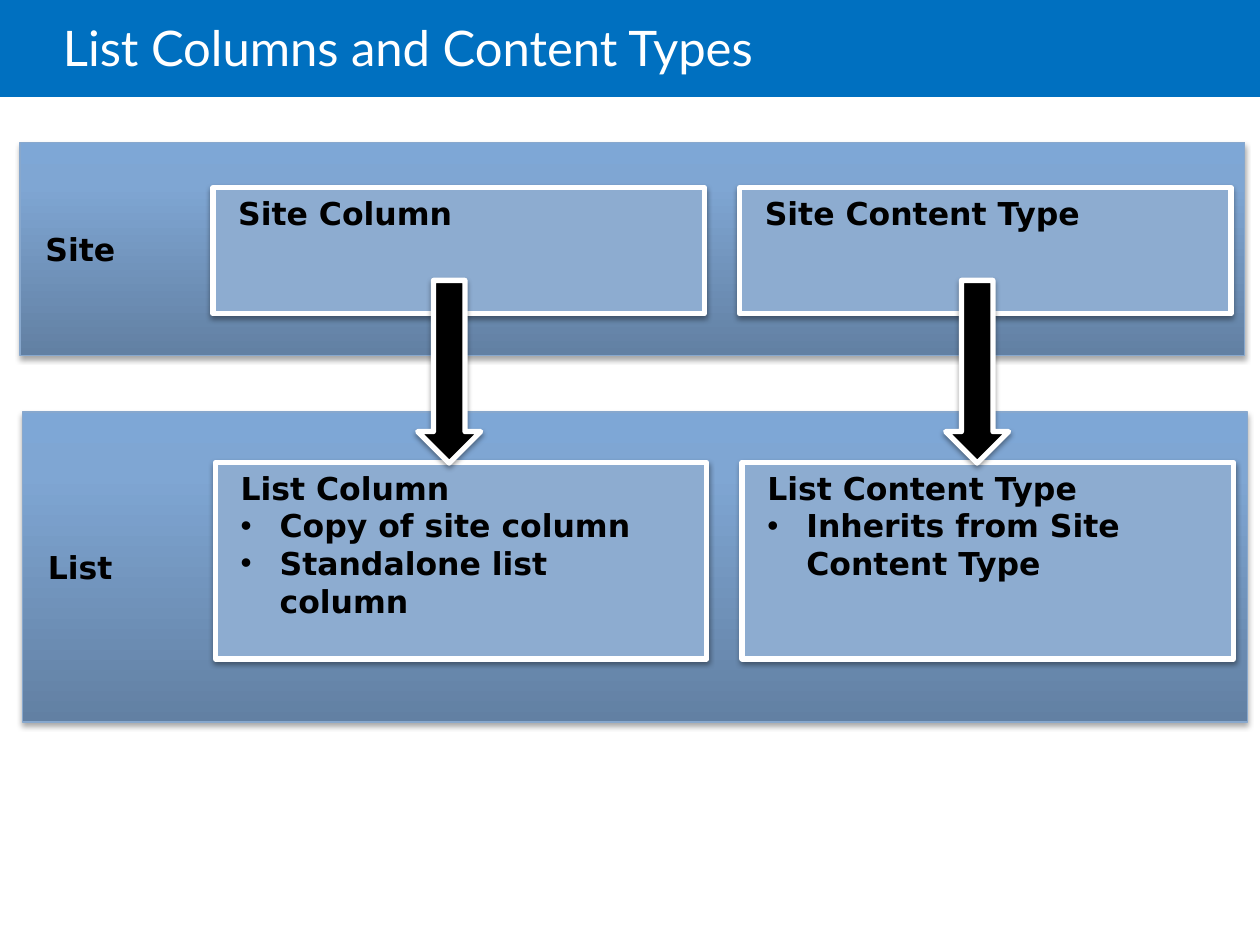
from dataclasses import dataclass

from lxml.etree import SubElement
from pptx import Presentation
from pptx.dml.color import RGBColor
from pptx.enum.shapes import MSO_SHAPE
from pptx.enum.text import MSO_ANCHOR, PP_ALIGN
from pptx.oxml import parse_xml
from pptx.oxml.ns import nsdecls, qn
from pptx.util import Inches, Pt

TITLE = "List Columns and Content Types"
# Each box holds a heading and its bullets.
BANDS = [
    {"label": "Site", "left": 0.16, "top": 1.13, "height": 1.69,
     "box_top": 1.49, "box_height": 1,
     "boxes": [("Site Column", []), ("Site Content Type", [])]},
    {"label": "List", "left": 0.18, "top": 3.27, "height": 2.46,
     "box_top": 3.67, "box_height": 1.56,
     "boxes": [("List Column", ["Copy of site column", "Standalone list column"]),
               ("List Content Type", ["Inherits from Site Content Type"])]},
]
BAND_WIDTH = 9.72
BOX_OFFSET, BOX_WIDTH, BOX_STEP = 1.53, 3.9, 4.18
ARROW_LEFT, ARROW_TOP, ARROW_STEP = 2.84, 2.7, 4.19
ARROW_LENGTH, ARROW_THICKNESS = 1.45, 0.5
BULLET_INDENT = 0.31


@dataclass(frozen=True)
class Theme:
    header: str = "0070C0"
    title: str = "FFFFFF"
    text: str = "000000"
    box: str = "8DACD0"
    box_line: str = "FFFFFF"
    band_line: str = "88A8CD"
    band_stops: tuple = ((0, "6280A3"), (80, "7FA6D3"), (100, "7EA7D6"))
    arrow: str = "000000"
    title_font: str = "Lato"
    body_font: str = "DejaVu Sans"
    title_size: int = 28
    body_size: int = 18


THEME = Theme()


def add_shape(slide, kind, left, top, width, height, fill=None, line=None, line_width=3):
    shape = slide.shapes.add_shape(
        kind, Inches(left), Inches(top), Inches(width), Inches(height))
    shape.shadow.inherit = False
    if fill:
        shape.fill.solid()
        shape.fill.fore_color.rgb = RGBColor.from_string(fill)
    if line:
        shape.line.color.rgb = RGBColor.from_string(line)
        shape.line.width = Pt(line_width)
    else:
        shape.line.fill.background()
    return shape


def add_shadow(shape, opacity, distance):
    """Cast a soft black shadow straight down; opacity in percent, distance in points."""
    effects = shape._element.spPr.find(qn("a:effectLst"))
    shadow = SubElement(effects, qn("a:outerShdw"), blurRad=str(Pt(3.1)),
                        dist=str(Pt(distance)), dir="5400000", rotWithShape="0")
    color = SubElement(shadow, qn("a:srgbClr"), val="000000")
    SubElement(color, qn("a:alpha"), val=str(opacity * 1000))


def fill_band(shape):
    """Fill with the theme's gradient, its first stop at the bottom."""
    stops = "".join(f'<a:gs pos="{position * 1000}"><a:srgbClr val="{color}"/></a:gs>'
                    for position, color in THEME.band_stops)
    gradient = parse_xml(f'<a:gradFill {nsdecls("a")} rotWithShape="1"><a:gsLst>{stops}'
                         '</a:gsLst><a:lin ang="16200000" scaled="0"/></a:gradFill>')
    shape._element.spPr.find(qn("a:prstGeom")).addnext(gradient)


def set_insets(frame, left, right):
    frame.margin_left, frame.margin_right = Inches(left), Inches(right)
    frame.margin_top = frame.margin_bottom = Inches(0.05)


def style_font(font, name, size, color, bold=False):
    font.name, font.size, font.bold = name, Pt(size), bold
    font.color.rgb = RGBColor.from_string(color)


def add_bullet(paragraph):
    properties = paragraph._p.get_or_add_pPr()
    properties.set("marL", str(Inches(BULLET_INDENT)))
    properties.set("indent", str(-Inches(BULLET_INDENT)))
    SubElement(properties, qn("a:buFont"), typeface="Arial")
    SubElement(properties, qn("a:buChar"), char="•")


def write_text(shape, heading, bullets=(), anchor=MSO_ANCHOR.TOP):
    frame = shape.text_frame
    frame.word_wrap = True
    frame.vertical_anchor = anchor
    set_insets(frame, 0.2, 0.2)
    for index, text in enumerate([heading, *bullets]):
        paragraph = frame.add_paragraph() if index else frame.paragraphs[0]
        paragraph.text = text
        paragraph.alignment = PP_ALIGN.LEFT
        if index:
            add_bullet(paragraph)
        style_font(paragraph.font, THEME.body_font, THEME.body_size, THEME.text, bold=True)


def add_title(slide):
    add_shape(slide, MSO_SHAPE.RECTANGLE, 0, 0, 10, 0.77, THEME.header)
    frame = slide.shapes.add_textbox(
        Inches(0.5), 0, Inches(8.5), Inches(0.81)).text_frame
    frame.word_wrap = True
    frame.vertical_anchor = MSO_ANCHOR.MIDDLE
    set_insets(frame, 0, 0.1)
    paragraph = frame.paragraphs[0]
    paragraph.text = TITLE
    paragraph.line_spacing = 0.85
    style_font(paragraph.font, THEME.title_font, THEME.title_size, THEME.title)


def add_band(slide, band):
    shape = add_shape(slide, MSO_SHAPE.RECTANGLE, band["left"], band["top"], BAND_WIDTH,
                      band["height"], line=THEME.band_line, line_width=0.75)
    fill_band(shape)
    add_shadow(shape, 35, 1.8)
    write_text(shape, band["label"], anchor=MSO_ANCHOR.MIDDLE)
    for column, (heading, bullets) in enumerate(band["boxes"]):
        left = band["left"] + BOX_OFFSET + column * BOX_STEP
        box = add_shape(slide, MSO_SHAPE.RECTANGLE, left, band["box_top"], BOX_WIDTH,
                        band["box_height"], THEME.box, THEME.box_line)
        add_shadow(box, 38, 1.6)
        write_text(box, heading, bullets)


def add_arrow(slide, column):
    arrow = add_shape(slide, MSO_SHAPE.RIGHT_ARROW, ARROW_LEFT + column * ARROW_STEP,
                      ARROW_TOP, ARROW_LENGTH, ARROW_THICKNESS, THEME.arrow, THEME.box_line)
    arrow.rotation = 90
    add_shadow(arrow, 38, 1.6)


def main():
    presentation = Presentation()
    presentation.slide_width, presentation.slide_height = Inches(10), Inches(7.5)
    slide = presentation.slides.add_slide(presentation.slide_layouts[6])
    add_title(slide)
    for band in BANDS:
        add_band(slide, band)
    for column in range(len(BANDS[0]["boxes"])):
        add_arrow(slide, column)
    presentation.save("out.pptx")


if __name__ == "__main__":
    main()
